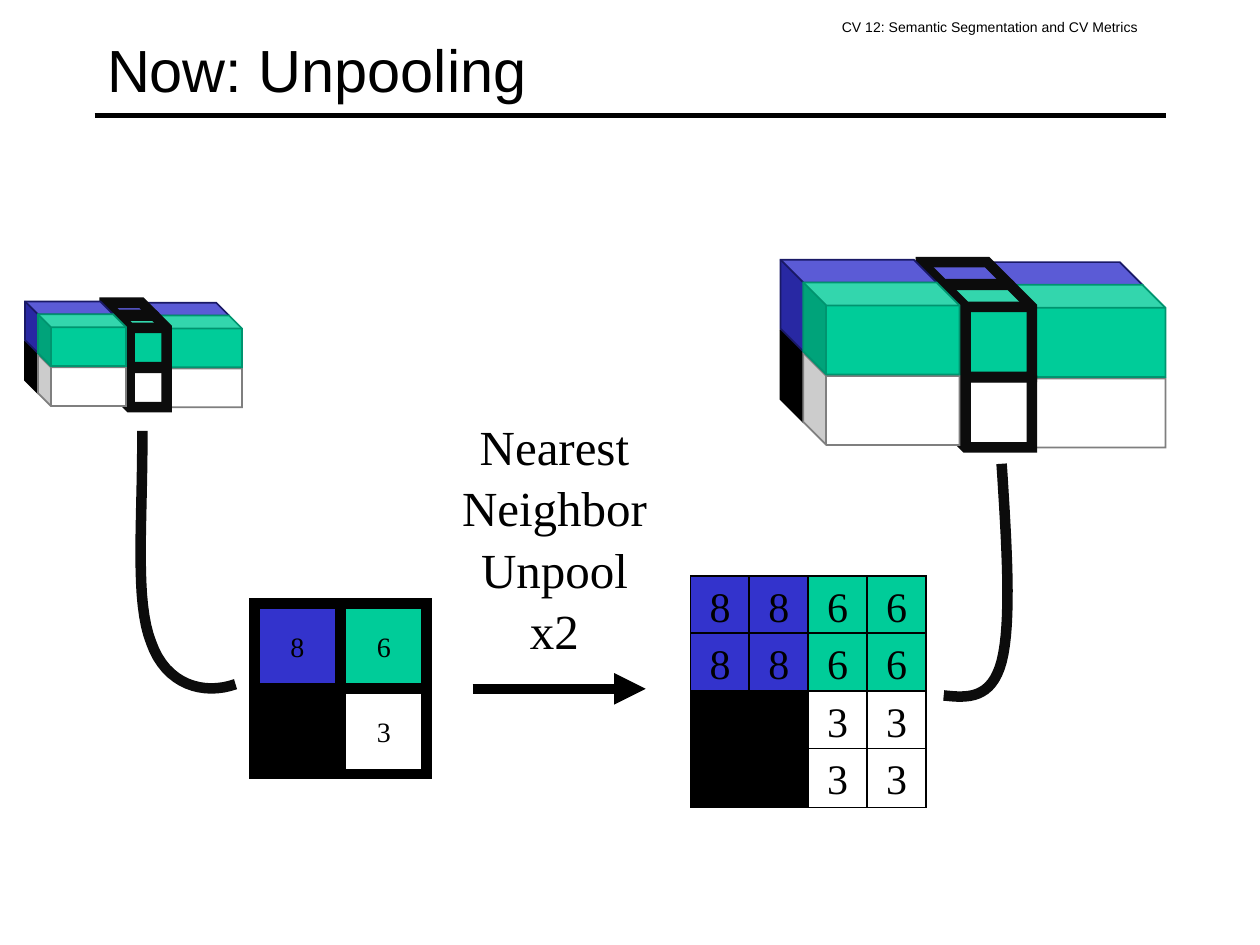
import pptx
import pptx.dml.color
import pptx.enum.shapes
import pptx.enum.text
import pptx.oxml.ns
import pptx.util
from lxml import etree

Pt = pptx.util.Pt
RGB = pptx.dml.color.RGBColor
SHAPE = pptx.enum.shapes.MSO_SHAPE
ALIGN = pptx.enum.text.PP_ALIGN
ANCHOR = pptx.enum.text.MSO_ANCHOR
qn = pptx.oxml.ns.qn

BLACK = RGB(0x00, 0x00, 0x00)
WHITE = RGB(0xFF, 0xFF, 0xFF)
BLUE = RGB(0x33, 0x33, 0xCC)
GREEN = RGB(0x00, 0xCC, 0x99)
GRAY = RGB(0x7F, 0x7F, 0x7F)
NAVY = RGB(0x19, 0x19, 0x66)
DARK_GREEN = RGB(0x00, 0x94, 0x6F)
INK = RGB(0x0C, 0x0C, 0x0C)

SANS, SERIF = "Arial", "Times New Roman"
CELL_FILLS = {"8": BLUE, "6": GREEN, "3": WHITE, " ": BLACK}
CHANNELS = [(BLACK, BLACK, 0, 1), (WHITE, GRAY, 1, 1), (BLUE, NAVY, 0, 0), (GREEN, DARK_GREEN, 1, 0)]


class Sketch:
    """Draws styled elements on the current slide, with lengths in points."""

    def __init__(self, s):
        self.s = s

    def set_text(self, tf, text, font, size, align=ALIGN.LEFT, spacing=None):
        tf.word_wrap = True
        tf.text = text
        for p in tf.paragraphs:
            p.alignment = align
            p.line_spacing = spacing
            p.font.name, p.font.size = font, Pt(size)
            p.font.color.rgb = BLACK

    def title(self, text, x, y, w, h):
        sp = self.s.shapes.title
        sp.left, sp.top, sp.width, sp.height = Pt(x), Pt(y), Pt(w), Pt(h)
        sp.text_frame.vertical_anchor = ANCHOR.MIDDLE
        self.set_text(sp.text_frame, text, SANS, 34)

    def text(self, text, x, y, w, h, font, size, align=ALIGN.LEFT, inset=3.6, spacing=None):
        tf = self.s.shapes.add_textbox(Pt(x), Pt(y), Pt(w), Pt(h)).text_frame
        tf.margin_top = tf.margin_bottom = Pt(inset)
        self.set_text(tf, text, font, size, align, spacing)

    def line(self, x1, y1, x2, y2, weight, arrow=False):
        kind = pptx.enum.shapes.MSO_CONNECTOR.STRAIGHT
        cx = self.s.shapes.add_connector(kind, Pt(x1), Pt(y1), Pt(x2), Pt(y2))
        cx.line.color.rgb, cx.line.width = BLACK, Pt(weight)
        if arrow:
            etree.SubElement(cx._element.spPr.find(qn("a:ln")), qn("a:tailEnd"), type="triangle")
        etree.SubElement(cx._element.spPr, qn("a:effectLst"))

    def outline(self, sp, color, weight):
        sp.shadow.inherit = False
        sp.line.color.rgb, sp.line.width = color, Pt(weight)
        etree.SubElement(sp._element.spPr.find(qn("a:ln")), qn("a:miter"), lim="800000")

    def shape(self, kind, x, y, w, h, fill, color, weight):
        sp = self.s.shapes.add_shape(kind, Pt(x), Pt(y), Pt(w), Pt(h))
        sp.fill.solid()
        sp.fill.fore_color.rgb = fill
        self.outline(sp, color, weight)
        return sp

    def grid(self, rows, x, y, dx, dy, size, weight, font_size):
        for i, row in enumerate(rows):
            for j, value in enumerate(row):
                sp = self.shape(SHAPE.RECTANGLE, x + j * dx, y + i * dy, size, size,
                                CELL_FILLS[value], BLACK, weight)
                if value.strip():
                    sp.text_frame.vertical_anchor = ANCHOR.MIDDLE
                    self.set_text(sp.text_frame, value, SERIF, font_size, ALIGN.CENTER)

    def cubes(self, x, y, w, h, depth, drop, window=False):
        for fill, edge, front, lower in CHANNELS:
            color, weight = (INK, 6) if window else (edge, 1)
            sp = self.shape(SHAPE.CUBE, x + front * depth, y + front * depth + lower * drop,
                            w, h, fill, color, weight)
            sp.adjustments[0] = 0.25
            sp._element.spPr.find(qn("a:xfrm")).set("flipH", "1")

    def feature_map(self, blocks, y, h, depth, drop):
        for x, dy, w, window in blocks:
            self.cubes(x, y + dy, w, h, depth, drop, window)

    def curve(self, start, *segments, steps=16):
        points, p0 = [], start
        for p1, p2, p3 in segments:
            for t in (k / steps for k in range(1, steps + 1)):
                u = 1 - t
                points.append(tuple(u**3 * a + 3 * u * u * t * b + 3 * u * t * t * c + t**3 * d
                                    for a, b, c, d in zip(p0, p1, p2, p3)))
            p0 = p3
        emu = [(Pt(x), Pt(y)) for x, y in [start] + points]
        builder = self.s.shapes.build_freeform(*emu[0])
        builder.add_line_segments(emu[1:], close=False)
        sp = builder.convert_to_shape()
        sp.fill.background()
        self.outline(sp, INK, 6)


def main():
    prs = pptx.Presentation()
    prs.slide_width, prs.slide_height = Pt(720), Pt(540)
    sk = Sketch(prs.slides.add_slide(prs.slide_layouts[5]))

    sk.line(54, 66, 666, 66, 3)
    sk.text("CV 12: Semantic Segmentation and CV Metrics", 474, 6, 236, 24.5, SANS, 8, inset=7.2)
    sk.title("Now: Unpooling", 54, 6, 612, 66)

    sk.line(270, 393.6, 369, 393.6, 6, arrow=True)
    sk.text("Nearest Neighbor\vUnpool\nx2", 250.6, 233.3, 132.5, 143.3, SERIF, 28,
            ALIGN.CENTER, spacing=1.04)
    sk.grid(["8866", "8866", "  33", "  33"], 394.6, 329, 33.6, 32.9, 33.8, 1, 24)

    sk.feature_map([(563.8, 0, 89.3, False), (526.3, 0, 50.4, True), (446.1, -1.4, 89.3, False)],
                   149.8, 52.6, 13, 40.3)
    sk.curve((572.4, 265), ((575.3, 310.3), (578.2, 355.7), (572.4, 378)),
             ((566.6, 399.6), (553, 398.9), (539.3, 397.4)))

    sk.feature_map([(80.6, 0, 50.4, False), (59.8, 0, 28.1, True), (14.4, -0.7, 50.4, False)],
                   173, 29.5, 7.3, 22.9)
    sk.grid(["86", " 3"], 145.4, 344.9, 49.4, 48.5, 49, 6, 16)
    sk.curve((134.6, 391), ((116.6, 397.4), (95, 391.7), (86.4, 367.2)),
             ((77, 343.4), (81.4, 301), (81.4, 246.2)))

    prs.save("out.pptx")


if __name__ == "__main__":
    main()
